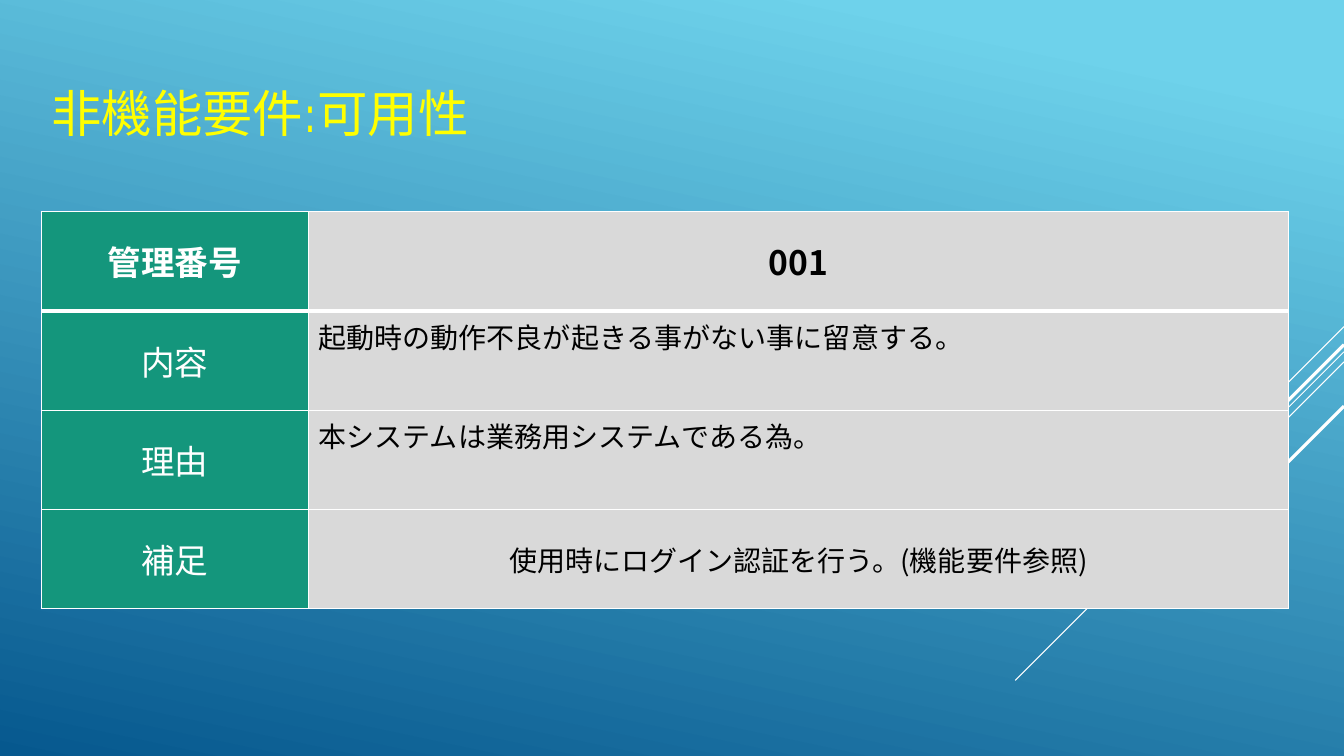
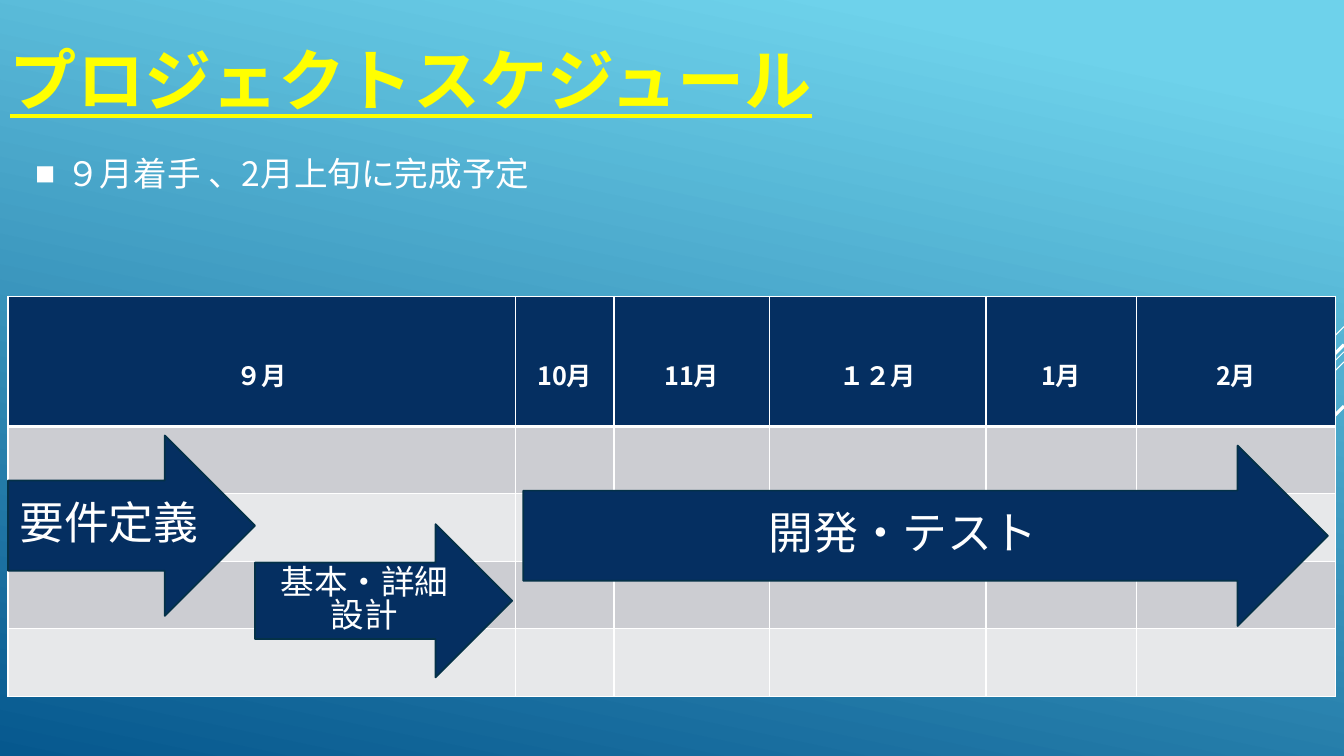
from lxml.etree import SubElement as Sub
from pptx import Presentation as Deck
from pptx.dml.color import RGBColor as RGB
from pptx.enum.shapes import MSO_CONNECTOR as Link, MSO_SHAPE as Kind
from pptx.enum.text import MSO_ANCHOR as Anchor, PP_ALIGN as Align
from pptx.oxml import parse_xml
from pptx.oxml.ns import nsdecls, qn
from pptx.util import Inches, Pt


class Theme:
    sky, deep = "6ED2EB", "06588E"
    white, black, yellow = "FFFFFF", "000000", "FFFF00"
    green, grey = "14967C", "D9D9D9"
    navy, edge = "052F61", "043148"
    bands = "CCCDD2", "E7E8EA"
    font, head = "Noto Sans CJK JP", "TeX Gyre Adventor"
    huge, title, large, label, body, small = 48, 36, 32, 24, 20, 18
    tight, loose = 0.83, 2.5


def put(frame, text, size, color, align=Align.LEFT, anchor=Anchor.MIDDLE,
        font=Theme.font, bold=False, under=False, space=None):
    frame.word_wrap = True
    frame.vertical_anchor = anchor
    para = frame.paragraphs[0]
    para.alignment = align
    para.line_spacing = space
    run = para.add_run()
    run.text = text
    run.font.size = Pt(size)
    run.font.name = font
    run.font.bold = bold
    run.font.underline = under
    run.font.color.rgb = RGB.from_string(color)
    Sub(run._r.get_or_add_rPr(), qn("a:ea"), typeface=Theme.font)
    return para


def grid(slide, left, top, cols, rows, fills):
    frame = slide.shapes.add_table(len(rows), len(cols), Inches(left), Inches(top),
                                   Inches(sum(cols)), Inches(sum(rows)))
    table = frame.table
    table.first_row = table.horz_banding = False
    for col, width in zip(table.columns, cols):
        col.width = Inches(width)
    for r, high in enumerate(rows):
        table.rows[r].height = Inches(high)
        for c in range(len(cols)):
            cell = table.cell(r, c)
            cell.fill.solid()
            cell.fill.fore_color.rgb = RGB.from_string(fills[r][c])
            for i, side in enumerate("LRTB"):
                thick = (r, side) in ((0, "B"), (1, "T"))
                cell._tc.get_or_add_tcPr().insert(i, parse_xml(
                    f'<a:ln{side} {nsdecls("a")} w="{Pt(3 if thick else 1)}"><a:solidFill>'
                    f'<a:srgbClr val="{Theme.white}"/></a:solidFill></a:ln{side}>'))
    return table


deck = Deck()
deck.slide_width, deck.slide_height = Inches(13.33), Inches(7.5)
back = deck.slide_master.background.fill
back.gradient()
back.gradient_angle = 258
for stop, place, color in zip(back.gradient_stops, (0.1, 1), (Theme.sky, Theme.deep)):
    stop.position = place
    stop.color.rgb = RGB.from_string(color)

heads = [
    ("非機能要件:可用性", (0.41, 0.52, 4.49, 1.3), Theme.title,
     dict(font=Theme.head, space=Theme.tight)),
    ("プロジェクトスケジュール", (0, 0.16, 11.5, 1.25), Theme.huge,
     dict(bold=True, under=True)),
]
rays = [(3.24, 1, 0.75), (3.49, 3.26, 0.75), (3.59, 2.07, 0.75),
        (3.42, 1.91, 2.25), (4.03, 1.39, 2.25)]
slides = []
for text, box, size, style in heads:
    slide = deck.slides.add_slide(deck.slide_layouts[6])
    for top, run, width in rays:
        ray = slide.shapes.add_connector(Link.STRAIGHT, Inches(13.33), Inches(top),
                                         Inches(13.33 - run), Inches(top + run))
        ray.line.color.rgb = RGB.from_string(Theme.white)
        ray.line.width = Pt(width)
        Sub(ray.element.spPr, qn("a:effectLst"))
    title = slide.shapes.add_textbox(*map(Inches, box))
    put(title.text_frame, text, size, Theme.yellow, **style)
    slides.append(slide)
needs, plan = slides

facts = [
    ("管理番号", "001", Theme.label, Align.CENTER, Anchor.MIDDLE),
    ("内容", "起動時の動作不良が起きる事がない事に留意する。", Theme.body, Align.LEFT, Anchor.TOP),
    ("理由", "本システムは業務用システムである為。", Theme.body, Align.LEFT, Anchor.TOP),
    ("補足", "使用時にログイン認証を行う。(機能要件参照)", Theme.body, Align.CENTER, Anchor.MIDDLE),
]
count = len(facts)
table = grid(needs, 0.41, 2.1, [2.65, 9.72], [3.94 / count] * count,
             [(Theme.green, Theme.grey)] * count)
for r, (name, text, size, align, anchor) in enumerate(facts):
    for c, args in enumerate([(name, Theme.label, Theme.white, Align.CENTER, Anchor.MIDDLE),
                              (text, size, Theme.black, align, anchor)]):
        cell = table.cell(r, c)
        put(cell.text_frame, *args, bold=r == 0)
        cell.vertical_anchor = args[-1]

months = ["９月", "10月", "11月", "１２月", "1月", "2月"]
count = len(months)
table = grid(plan, 0.08, 2.94, [5.03, 0.98, 1.54, 2.15, 1.49, 1.98], [1.29] + [0.67] * 4,
             [[Theme.navy] * count] + [[band] * count for band in Theme.bands * 2])
for c, month in enumerate(months):
    put(table.cell(0, c).text_frame, month, Theme.small, Theme.white, Align.CENTER,
        Anchor.TOP, bold=True, space=Theme.loose)

steps = [
    ("要件定義", (0.08, 4.32, 2.45, 1.79), Theme.large),
    ("基本・詳細設計", (2.53, 5.2, 2.55, 1.52), Theme.label),
    ("開発・テスト", (5.19, 4.42, 7.98, 1.79), Theme.large),
]
for text, box, size in steps:
    step = plan.shapes.add_shape(Kind.RIGHT_ARROW, *map(Inches, box))
    step.shadow.inherit = False
    step.fill.solid()
    step.fill.fore_color.rgb = RGB.from_string(Theme.navy)
    step.line.color.rgb = RGB.from_string(Theme.edge)
    step.line.width = Pt(1.25)
    put(step.text_frame, text, size, Theme.white, Align.CENTER, space=Theme.tight)

note = plan.shapes.add_textbox(Inches(0.25), Inches(1.54), Inches(5.57), Inches(0.5))
para = put(note.text_frame, "９月着手 、2月上旬に完成予定", Theme.label, Theme.white,
           anchor=Anchor.TOP, space=Theme.tight)
props = para._p.get_or_add_pPr()
props.set("marL", str(Inches(0.31)))
props.set("indent", str(-Inches(0.31)))
Sub(props, qn("a:buSzPct"), val="60000")
Sub(props, qn("a:buFont"), typeface=Theme.font)
Sub(props, qn("a:buChar"), char="■")

deck.save("out.pptx")
